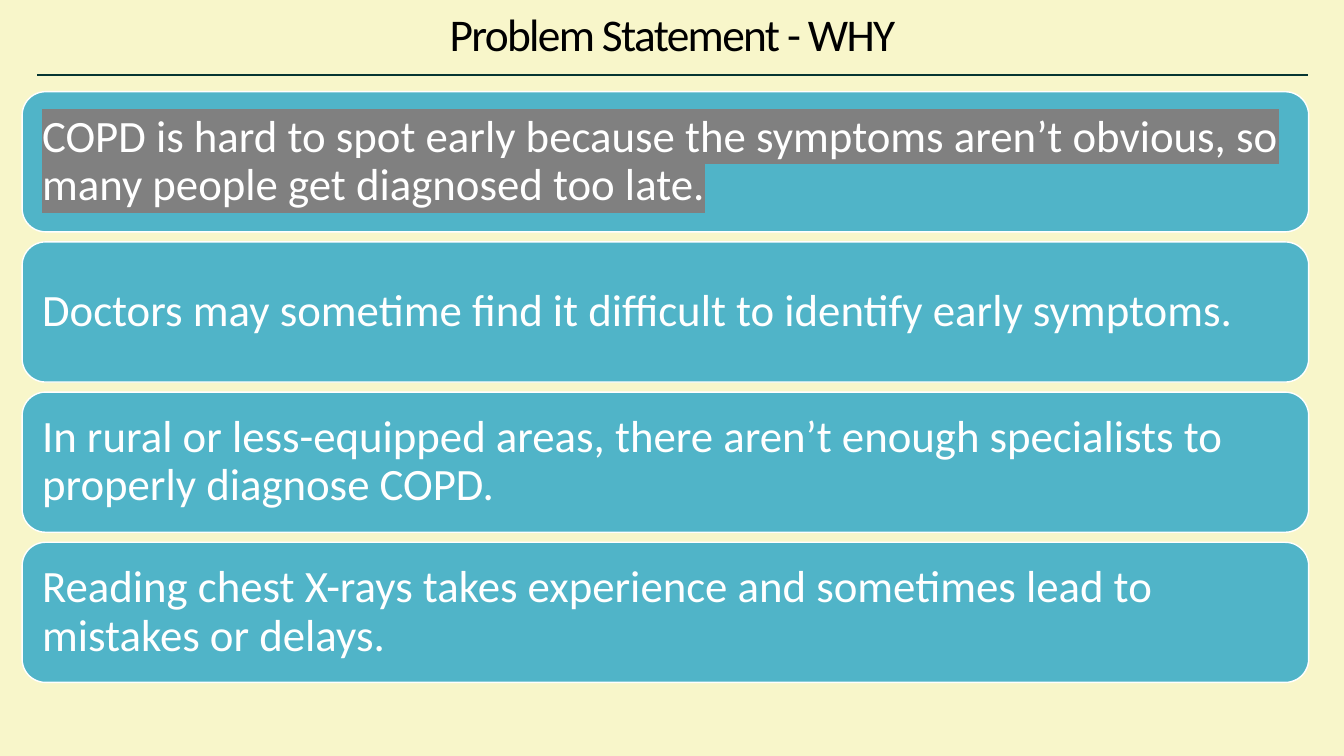
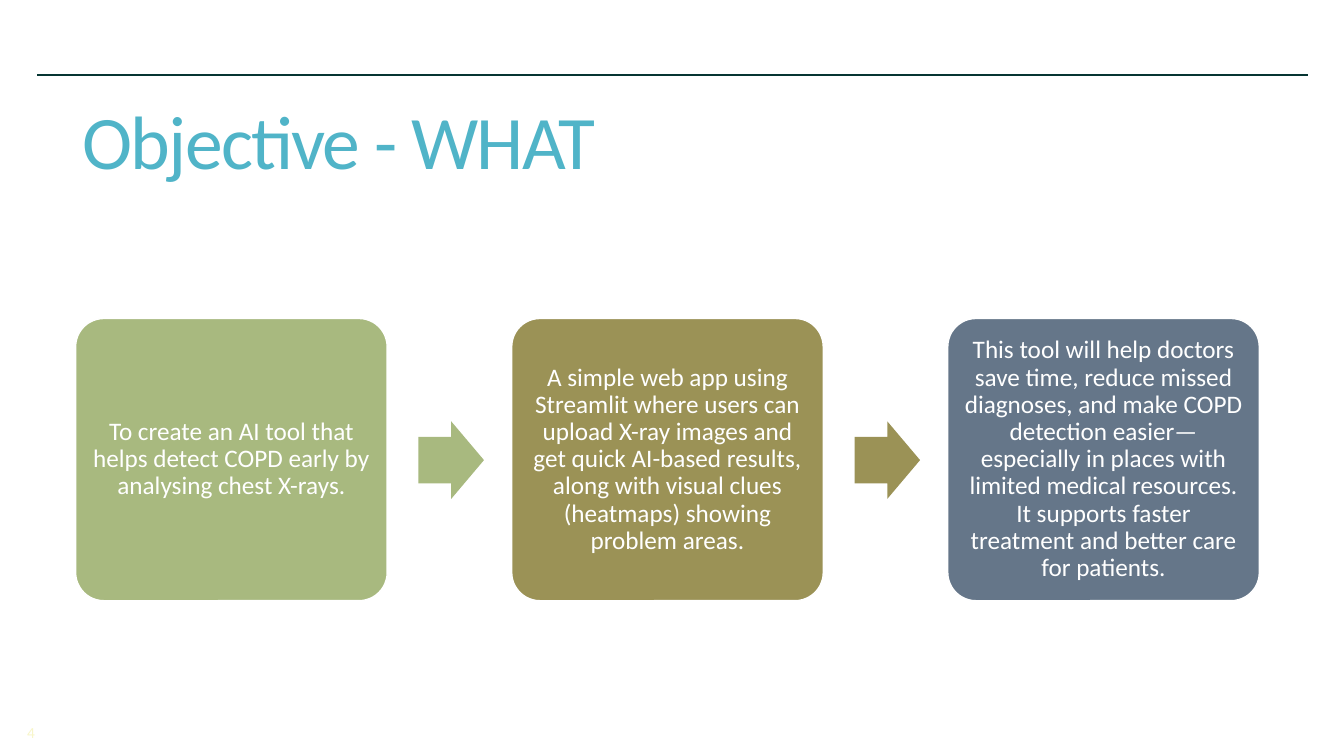
import pptx
import pptx.util
import pptx.dml.color
import pptx.enum.shapes
import pptx.enum.text
import pptx.oxml
import pptx.oxml.ns

Inches = pptx.util.Inches
Pt = pptx.util.Pt
Kind = pptx.enum.shapes.MSO_SHAPE
Align = pptx.enum.text.PP_ALIGN
Middle = pptx.enum.text.MSO_ANCHOR.MIDDLE
ns = pptx.oxml.ns

hues = {
    "cream": "F8F6CA", "white": "FFFFFF", "black": "000000",
    "rule": "063532", "teal": "50B4C8", "gray": "808080",
    "green": "A8B97F", "olive": "9B9256", "slate": "657689",
}
tint = {name: pptx.dml.color.RGBColor.from_string(code) for name, code in hues.items()}


def write(shape, text, size, hue, align, space, pads):
    frame = shape.text_frame
    sides = zip(("margin_left", "margin_top", "margin_right", "margin_bottom"), pads)
    form = {"word_wrap": True, "vertical_anchor": Middle}
    form.update((side, Inches(pad)) for side, pad in sides)
    for key, value in form.items():
        setattr(frame, key, value)
    para = frame.paragraphs[0]
    for key, value in {"alignment": align, "line_spacing": space}.items():
        setattr(para, key, value)
    run = para.add_run()
    run.text = text
    for key, value in {"name": "Calibri", "size": Pt(size)}.items():
        setattr(run.font, key, value)
    run.font.color.rgb = tint[hue]
    return run


def draw(slide, kind, box, hue, edge=None):
    shape = slide.shapes.add_shape(kind, *map(Inches, box))
    shape.shadow.inherit = False
    shape.fill.solid()
    shape.fill.fore_color.rgb = tint[hue]
    if edge:
        shape.line.color.rgb = tint[edge]
        shape.line.width = Pt(1)
    else:
        shape.line.fill.background()
    return shape


deck = pptx.Presentation()
for key, value in {"slide_width": 13.33, "slide_height": 7.5}.items():
    setattr(deck, key, Inches(value))

heads = [
    ("cream", "Problem Statement - WHY", (0.37, 0.04, 12.6, 0.59),
     32.4, "black", Align.CENTER, 1.0, (0.1, 0, 0.1, 0)),
    ("white", "Objective - WHAT", (0.72, 0.55, 11.78, 1.81),
     54, "teal", Align.LEFT, 0.85, (0.1, 0.05, 0.1, 0.05)),
]
for back, text, box, size, hue, align, space, pads in heads:
    slide = deck.slides.add_slide(deck.slide_layouts[6])
    slide.background.fill.solid()
    slide.background.fill.fore_color.rgb = tint[back]
    rule = slide.shapes.add_connector(
        pptx.enum.shapes.MSO_CONNECTOR.STRAIGHT, *map(Inches, (0.37, 0.74, 12.97, 0.74)))
    rule.line.color.rgb = tint["rule"]
    rule.line.width = Pt(1.5)
    rule.element.spPr.append(pptx.oxml.parse_xml(f"<a:effectLst {ns.nsdecls('a')}/>"))
    title = slide.shapes.add_textbox(*map(Inches, box))
    run = write(title, text, size, hue, align, space, pads)
    run.font._element.set("spc", "-120")

why, what = deck.slides

rows = [
    ("COPD is hard to spot early because the symptoms aren’t obvious, "
     "so many people get diagnosed too late.", "gray"),
    ("Doctors may sometime find it difficult to identify early symptoms.", None),
    ("In rural or less-equipped areas, there aren’t enough specialists "
     "to properly diagnose COPD.", None),
    ("Reading chest X-rays takes experience and sometimes lead to mistakes or delays.", None),
]
for i, (text, mark) in enumerate(rows):
    bar = draw(why, Kind.ROUNDED_RECTANGLE, (0.22, 0.91 + 1.49 * i, 12.76, 1.39), "teal", "white")
    run = write(bar, text, 32, "white", Align.LEFT, 0.9, (0.13,) * 4)
    if mark:
        light = pptx.oxml.parse_xml(
            f"<a:highlight {ns.nsdecls('a')}><a:srgbClr val='{hues[mark]}'/></a:highlight>")
        run.font._element.find(ns.qn("a:solidFill")).addnext(light)

steps = [
    ("green", "To create an AI tool that helps detect COPD early by analysing chest X-rays."),
    ("olive", "A simple web app using Streamlit where users can upload X-ray images and get "
     "quick AI-based results, along with visual clues (heatmaps) showing problem areas."),
    ("slate", "This tool will help doctors save time, reduce missed diagnoses, and make COPD "
     "detection easier—especially in places with limited medical resources. "
     "It supports faster treatment and better care for patients."),
]
pitch = (9.4 - 0.75) / 2
for i, (hue, text) in enumerate(steps):
    left = 0.75 + pitch * i
    card = draw(what, Kind.ROUNDED_RECTANGLE, (left, 3.16, 3.09, 2.8), hue, "white")
    card.adjustments[0] = 0.1
    write(card, text, 18, "white", Align.CENTER, 0.9, (0.07,) * 4)
    if i < len(steps) - 1:
        arrow = draw(what, Kind.RIGHT_ARROW, (left + 3.4, 4.18, 0.65, 0.77), hue)
        arrow.adjustments[0] = 0.6
        arrow.adjustments[1] = 0.5

page = what.shapes.add_textbox(*map(Inches, (0.17, 7.12, 0.6, 0.3)))
write(page, "4", 11, "cream", Align.LEFT, 1.0, (0.1, 0.05, 0.1, 0.05))

deck.save("out.pptx")
